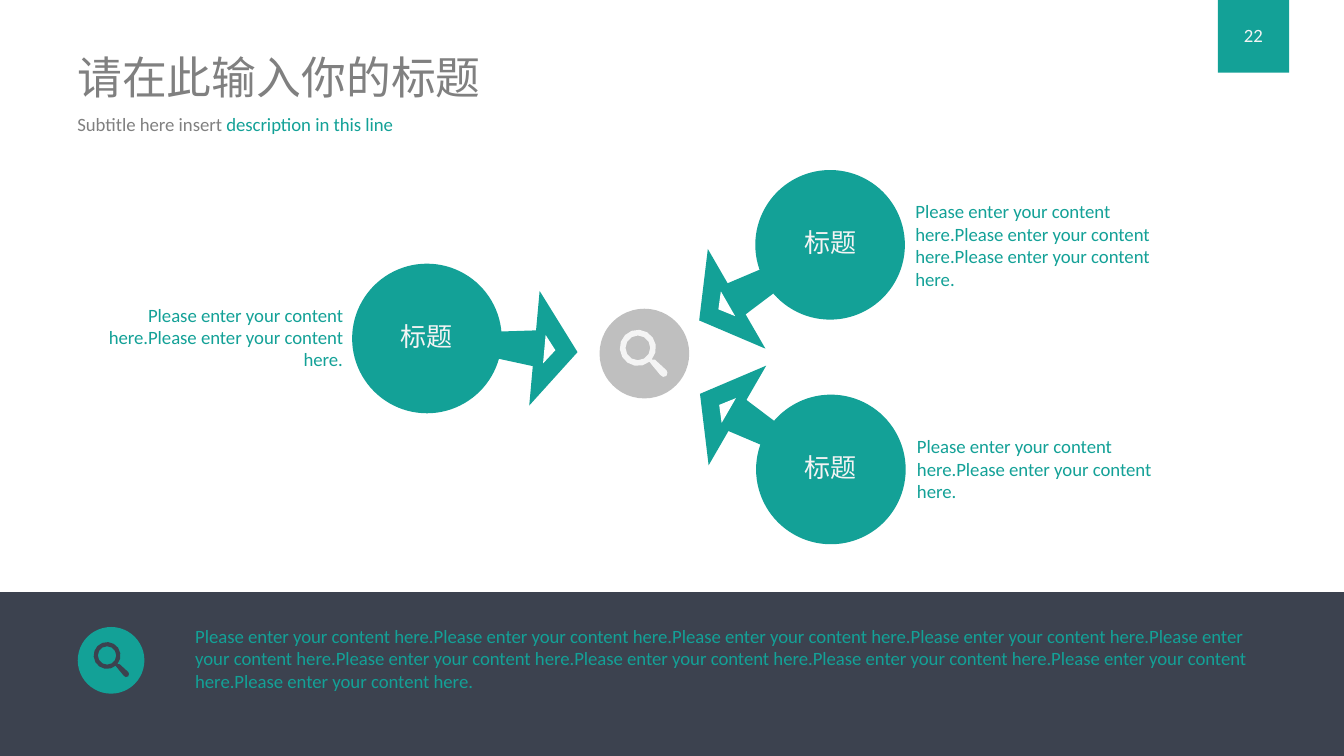
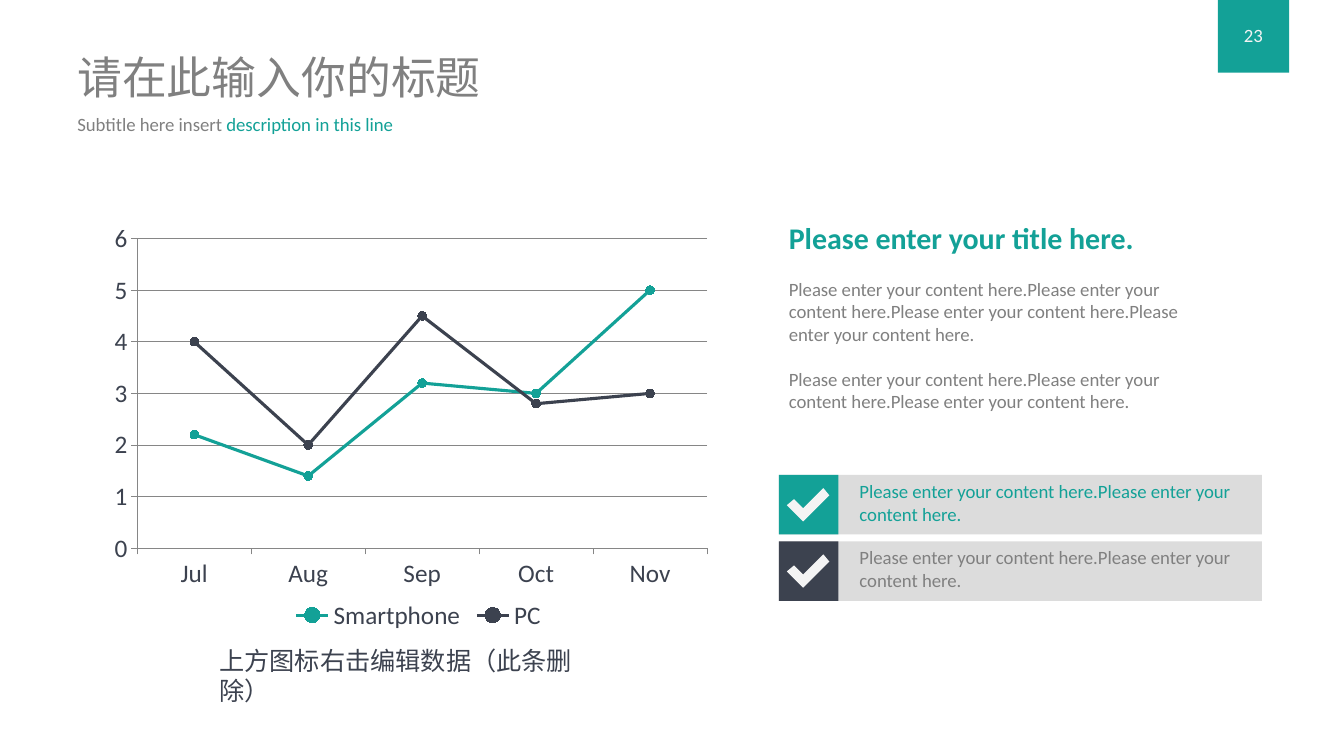
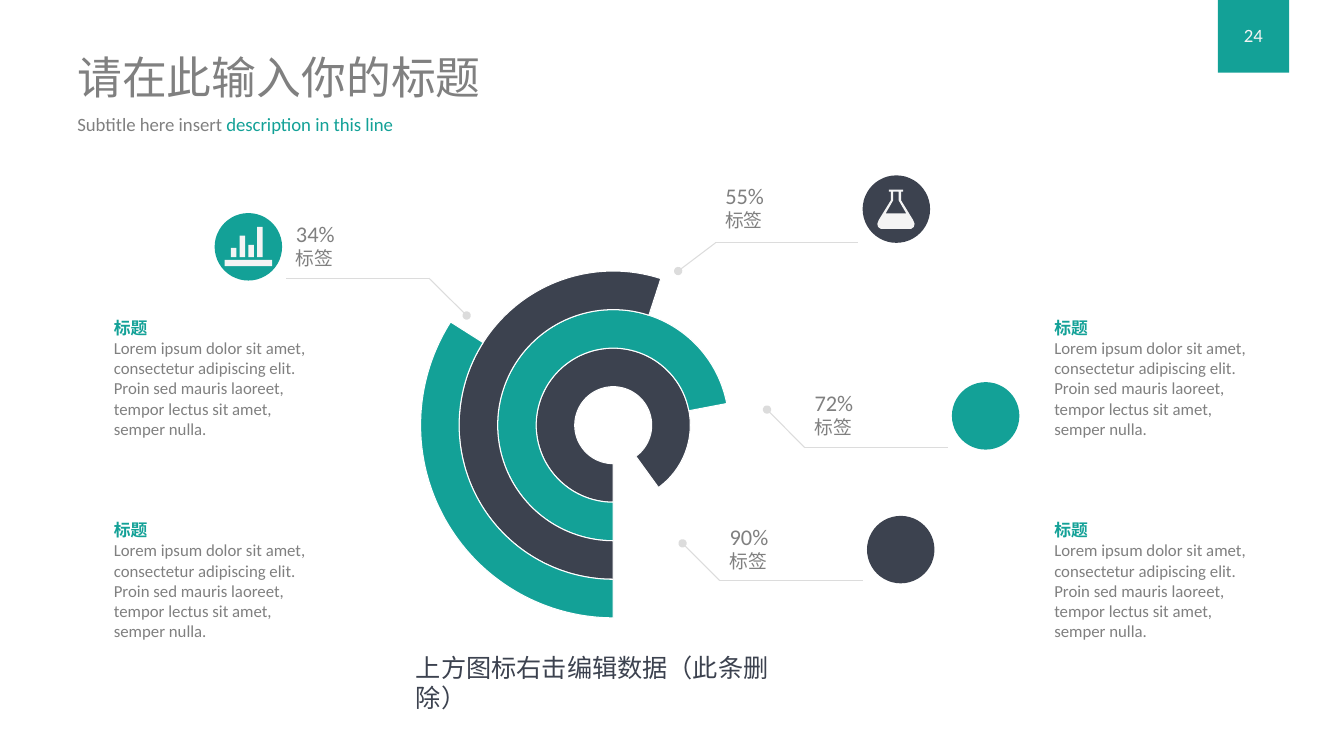
from math import cos, radians, sin

from lxml import etree
from pptx import Presentation
from pptx.chart.data import CategoryChartData
from pptx.dml.color import RGBColor
from pptx.enum.chart import XL_CHART_TYPE, XL_LEGEND_POSITION, XL_MARKER_STYLE, XL_TICK_MARK
from pptx.enum.shapes import MSO_CONNECTOR, MSO_SHAPE
from pptx.enum.text import MSO_AUTO_SIZE, PP_ALIGN
from pptx.oxml.ns import qn
from pptx.util import Cm, Pt

RECT, OVAL = MSO_SHAPE.RECTANGLE, MSO_SHAPE.OVAL
LEFT, CENTER, RIGHT = PP_ALIGN.LEFT, PP_ALIGN.CENTER, PP_ALIGN.RIGHT
FIT_TEXT = MSO_AUTO_SIZE.SHAPE_TO_FIT_TEXT
LINE_CHART, RING_CHART = XL_CHART_TYPE.LINE_MARKERS, XL_CHART_TYPE.DOUGHNUT
BOTTOM, DISC, OUTSIDE = XL_LEGEND_POSITION.BOTTOM, XL_MARKER_STYLE.CIRCLE, XL_TICK_MARK.OUTSIDE
STRAIGHT = MSO_CONNECTOR.STRAIGHT

FONT = "Calibri"
TEAL, DARK, GREY = "13A197", "3C424F", "808080"
PALE, SILVER, MIST, WHITE, AXIS = "F4F4F4", "BFBFBF", "DCDCDC", "FFFFFF", "868686"
SENTENCE = "Please enter your content here."
CHART_HINT = "上方图标右击编辑数据（此条删除）"
rgb = RGBColor.from_string


def draw(slide, figure, colour, box=None):
    """Draw a preset shape in a box, or a list of closed outlines in cm."""
    if box:
        shape = slide.shapes.add_shape(figure, *map(Cm, box))
    else:
        outlines = [[(Cm(x), Cm(y)) for x, y in outline] for outline in figure]
        builder = slide.shapes.build_freeform(*outlines[0][0], scale=1.0)
        builder.add_line_segments(outlines[0][1:])
        for outline in outlines[1:]:
            builder.move_to(*outline[0])
            builder.add_line_segments(outline[1:])
        shape = builder.convert_to_shape()
    shape.shadow.inherit = False
    shape.fill.solid()
    shape.fill.fore_color.rgb = rgb(colour)
    shape.line.fill.background()
    return shape


def write(target, text, box=None, size=13.33, colour=GREY, bold=False, fill=None,
          align=LEFT, wrap=True, before=0, join=False):
    """Write into a new box on a slide, or carry on in a text frame."""
    if box:
        holder = draw(target, RECT, fill, box) if fill else target.shapes.add_textbox(*map(Cm, box))
        frame = holder.text_frame
        frame.word_wrap = wrap
        frame.auto_size = FIT_TEXT
    else:
        frame = target
    paragraph = frame.paragraphs[-1] if box or join else frame.add_paragraph()
    paragraph.alignment = align
    if before:
        paragraph.space_before = Pt(before)
    run = paragraph.add_run()
    run.text = text
    run.font.name, run.font.size, run.font.bold = FONT, Pt(size), bold
    run.font.color.rgb = rgb(colour)
    return frame


prs = Presentation()
prs.slide_width, prs.slide_height = Cm(33.87), Cm(19.05)

# Shared header: title, subtitle and page badge
slides = []
for page in (22, 23, 24):
    slide = prs.slides.add_slide(prs.slide_layouts[6])
    write(slide, "请在此输入你的标题", (1.7, 1.12, 10.77, 1.63), size=32, wrap=False)
    subtitle = write(slide, "Subtitle here insert ", (1.7, 2.72, 8.53, 0.84), wrap=False)
    write(subtitle, "description in this line", colour=TEAL, join=True)
    draw(slide, RECT, TEAL, (30.69, 0, 1.8, 1.83))
    write(slide, str(page), (31.09, 0.46, 0.99, 0.84), colour=PALE, fill=TEAL, align=CENTER, wrap=False)
    slides.append(slide)
arrows_slide, trend_slide, rings_slide = slides

# Slide 1: three discs pointing at the centre
ARROW = [
    (TEAL, [(1.16, -0.26), (2.78, -0.46), (2.78, 0.46), (1.16, 0.26), (1.16, -0.26)]),
    (TEAL, [(3.81, 0), (2.72, 1.45), (2.72, -1.45), (3.81, 0)]),
    (WHITE, [(3.25, 0), (2.97, 0.36), (2.97, -0.36), (3.25, 0)]),
]
DISC_SIZE = 3.77
topics = [
    (10.76, 8.53, 5.2, 2, (1.96, 7.52, 6.93, 1.96), RIGHT),
    (20.92, 6.17, 150, 3, (22.82, 4.92, 6.93, 2.51), LEFT),
    (20.94, 11.83, 210, 2, (22.86, 10.84, 6.93, 1.96), LEFT),
]
for x, y, angle, repeats, text_box, align in topics:
    c, s = cos(radians(angle)), sin(radians(angle))
    for colour, outline in ARROW:
        draw(arrows_slide, [[(x + c * px - s * py, y + s * px + c * py) for px, py in outline]], colour)
    draw(arrows_slide, OVAL, TEAL, (x - DISC_SIZE / 2, y - DISC_SIZE / 2, DISC_SIZE, DISC_SIZE))
    write(arrows_slide, "标题", (x - 1.95, y - 0.59, 3.9, 1.09), size=18.6, colour=PALE, align=CENTER)
    write(arrows_slide, SENTENCE * repeats, text_box, colour=TEAL, align=align)

# Slide 1: bottom band
draw(arrows_slide, RECT, DARK, (0, 14.92, 33.87, 4.13))
write(arrows_slide, SENTENCE * 10, (4.67, 15.62, 27.41, 1.96), colour=TEAL)

# Slide 1: magnifiers, outlined in a unit square
rim = [(0.38 + 0.38 * cos(radians(a)), 0.38 + 0.38 * sin(radians(a))) for a in range(50, 401, 25)]
handle = [(0.74, 0.63), (0.98, 0.85), (1, 0.9), (0.98, 0.97), (0.91, 0.99), (0.85, 0.95), (0.66, 0.72)]
lens = [(0.38 + 0.26 * cos(radians(a)), 0.38 + 0.26 * sin(radians(a))) for a in range(0, 361, 30)]
for disc_x, disc_y, disc, disc_colour, x, y, size, colour in [
    (15.11, 7.78, 2.26, SILVER, 15.62, 8.31, 1.2, PALE),
    (1.96, 15.8, 1.68, TEAL, 2.36, 16.18, 0.89, DARK),
]:
    draw(arrows_slide, OVAL, disc_colour, (disc_x, disc_y, disc, disc))
    draw(arrows_slide, [[(x + size * px, y + size * py) for px, py in outline]
                        for outline in (rim + handle + rim[:1], lens)], colour)

# Slide 2: line chart
TREND_WIDTH, TREND_HEIGHT = 15.54, 10.87
sales = CategoryChartData()
sales.categories = ["Jul", "Aug", "Sep", "Oct", "Nov"]
sales.add_series("Smartphone", (2.2, 1.4, 3.2, 3, 5))
sales.add_series("PC", (4, 2, 4.5, 2.8, 3))
trend = trend_slide.shapes.add_chart(LINE_CHART, Cm(2.57), Cm(5.39), Cm(TREND_WIDTH),
                                     Cm(TREND_HEIGHT), sales).chart
trend.has_title = False
trend.has_legend = True
trend.legend.position = BOTTOM
trend.legend.include_in_layout = False
trend.value_axis.has_major_gridlines = True
for axis in (trend.category_axis, trend.value_axis):
    axis.major_tick_mark = OUTSIDE
for ruled in (trend.category_axis, trend.value_axis, trend.value_axis.major_gridlines):
    ruled.format.line.color.rgb = rgb(AXIS)
    ruled.format.line.width = Pt(0.75)
for series, colour in zip(trend.plots[0].series, (TEAL, DARK)):
    series.smooth = False
    series.format.line.color.rgb = rgb(colour)
    series.format.line.width = Pt(2.25)
    series.marker.style, series.marker.size = DISC, 6
    series.marker.format.fill.solid()
    series.marker.format.fill.fore_color.rgb = rgb(colour)
    series.marker.format.line.fill.background()

# Slide 2: fixed places of plot and legend, in cm within the chart
for tag, index, places in [
    ("c:plotArea", 0, {"x": 0.89, "y": 0.62, "w": 14.36, "h": 7.81}),
    ("c:legend", 1, {"x": 4.69, "y": 9.6}),
]:
    part = next(trend.element.iter(qn(tag)))
    for automatic in part.findall(qn("c:layout")):
        part.remove(automatic)
    layout = etree.Element(qn("c:layout"))
    manual = etree.SubElement(layout, qn("c:manualLayout"))
    if tag == "c:plotArea":
        etree.SubElement(manual, qn("c:layoutTarget"), val="inner")
    for side in ("x", "y"):
        etree.SubElement(manual, qn(f"c:{side}Mode"), val="edge")
    for side, length in places.items():
        whole = TREND_WIDTH if side in "xw" else TREND_HEIGHT
        etree.SubElement(manual, qn(f"c:{side}"), val=str(length / whole))
    part.insert(index, layout)
write(trend_slide, CHART_HINT, (5.28, 16.13, 10.31, 1.07), size=18, colour=DARK)

# Slide 2: text and ticked rows
story = write(trend_slide, "Please enter your title here.", (19.63, 5.4, 10.92, 5.13),
              size=21.4, colour=TEAL, bold=True)
for repeats in (4, 3):
    write(story, SENTENCE * repeats, before=16.2)
CHECK = [(1.12, 0.33), (0.61, 0.84), (0.38, 0.61), (0.2, 0.76), (0.61, 1.17), (1.27, 0.51), (1.12, 0.33)]
ROW_LEFT, ROW_HEIGHT = 19.63, 1.5
for row, (box_colour, text_colour) in enumerate([(TEAL, TEAL), (DARK, GREY)]):
    top = 11.97 + row * 1.67
    draw(trend_slide, RECT, MIST, (ROW_LEFT, top, 12.17, ROW_HEIGHT))
    draw(trend_slide, RECT, box_colour, (ROW_LEFT, top, ROW_HEIGHT, ROW_HEIGHT))
    draw(trend_slide, [[(ROW_LEFT + x, top + y) for x, y in CHECK]], PALE)
    write(trend_slide, SENTENCE * 2, (21.41, top, 10.11, 1.4), colour=text_colour)

# Slide 3: ring chart, inner ring first
shares = CategoryChartData()
shares.categories = ["1", "2"]
for number, share in enumerate((90, 72, 55, 34), 1):
    shares.add_series(f"Series {number}", (share, 100 - share))
rings = rings_slide.shapes.add_chart(RING_CHART, Cm(9.37), Cm(5.51), Cm(12.17), Cm(10.41), shares).chart
rings.has_title = False
rings.has_legend = False
ring_plot = rings.plots[0]
ring_plot.vary_by_categories = True
for series, colour in zip(ring_plot.series, (DARK, TEAL, DARK, TEAL)):
    share, rest = series.points[0].format, series.points[1].format
    share.fill.solid()
    share.fill.fore_color.rgb = rgb(colour)
    share.line.color.rgb = rgb(WHITE)
    share.line.width = Pt(0.75)
    rest.fill.background()
    rest.line.fill.background()
for tag, value in (("c:firstSliceAng", "180"), ("c:holeSize", "70")):
    for element in rings.element.iter(qn(tag)):
        element.set("val", value)
write(rings_slide, CHART_HINT, (10.23, 16.31, 10.31, 1.07), size=18, colour=DARK)

# Text style of both charts
for chart in (trend, rings):
    chart.font.name, chart.font.size = FONT, Pt(18)
    chart.font.color.rgb = rgb(DARK)

# Slide 3: callouts, each a dot, a knee, a level line and a disc
REACH = 3.6
callouts = [
    ("34%", TEAL, (11.76, 7.95), (10.81, 7.01), -REACH, 5.37),
    ("55%", DARK, (17.09, 6.83), (18.03, 6.12), REACH, 4.42),
    ("72%", TEAL, (19.33, 10.32), (20.28, 11.28), REACH, 9.63),
    ("90%", DARK, (17.2, 13.69), (18.14, 14.63), REACH, 13),
]
for share, colour, dot, knee, reach, disc_top in callouts:
    far = (knee[0] + reach, knee[1])
    for start, end in ((dot, knee), (knee, far)):
        leader = rings_slide.shapes.add_connector(STRAIGHT, *map(Cm, start + end))
        leader.line.color.rgb = rgb(MIST)
        leader.line.width = Pt(0.75)
        properties = leader._element.spPr
        if start == dot:
            etree.SubElement(properties.find(qn("a:ln")), qn("a:headEnd"), type="oval")
        etree.SubElement(properties, qn("a:effectLst"))
    left = min(knee[0], far[0])
    label = write(rings_slide, share, (left, disc_top + 0.05, 3.99, 1.5), size=16)
    write(label, "标签")
    disc_left = left + 3.71 if reach > 0 else left - 1.8
    draw(rings_slide, OVAL, colour, (disc_left, disc_top, 1.7, 1.7))

# Slide 3: bar icon and flask icon
bars = [(5.66, 6.55, 6.86, 6.71)]
bars += [(5.82 + i * 0.22, top, 5.96 + i * 0.22, 6.48) for i, top in enumerate((6.25, 5.94, 6.17, 5.72))]
draw(rings_slide, [[(x1, y1), (x2, y1), (x2, y2), (x1, y2), (x1, y1)] for x1, y1, x2, y2 in bars], PALE)
FLASK_X = 22.58
flask_halves = [
    [(0.18, 4.78), (0.18, 4.83), (0.13, 4.83), (0.13, 5.05), (0.43, 5.54),
     (0.47, 5.64), (0.45, 5.72), (0.38, 5.77), (0.3, 5.77)],
    [(0.07, 4.83), (0.07, 5.05), (0.26, 5.38)],
]
draw(rings_slide, [[(FLASK_X + x, y) for x, y in half] + [(FLASK_X - x, y) for x, y in half[::-1]]
                   + [(FLASK_X + half[0][0], half[0][1])] for half in flask_halves], PALE)

# Slide 3: side notes
for left in (2.62, 26.32):
    for top in (7.88, 12.98):
        note = write(rings_slide, "标题", (left, top, 5.36, 3.33), size=12, colour=TEAL, bold=True)
        write(note, "Lorem ipsum dolor sit amet, consectetur adipiscing elit. Proin sed mauris laoreet, "
              "tempor lectus sit amet, semper nulla.", size=12)

prs.save("out.pptx")
